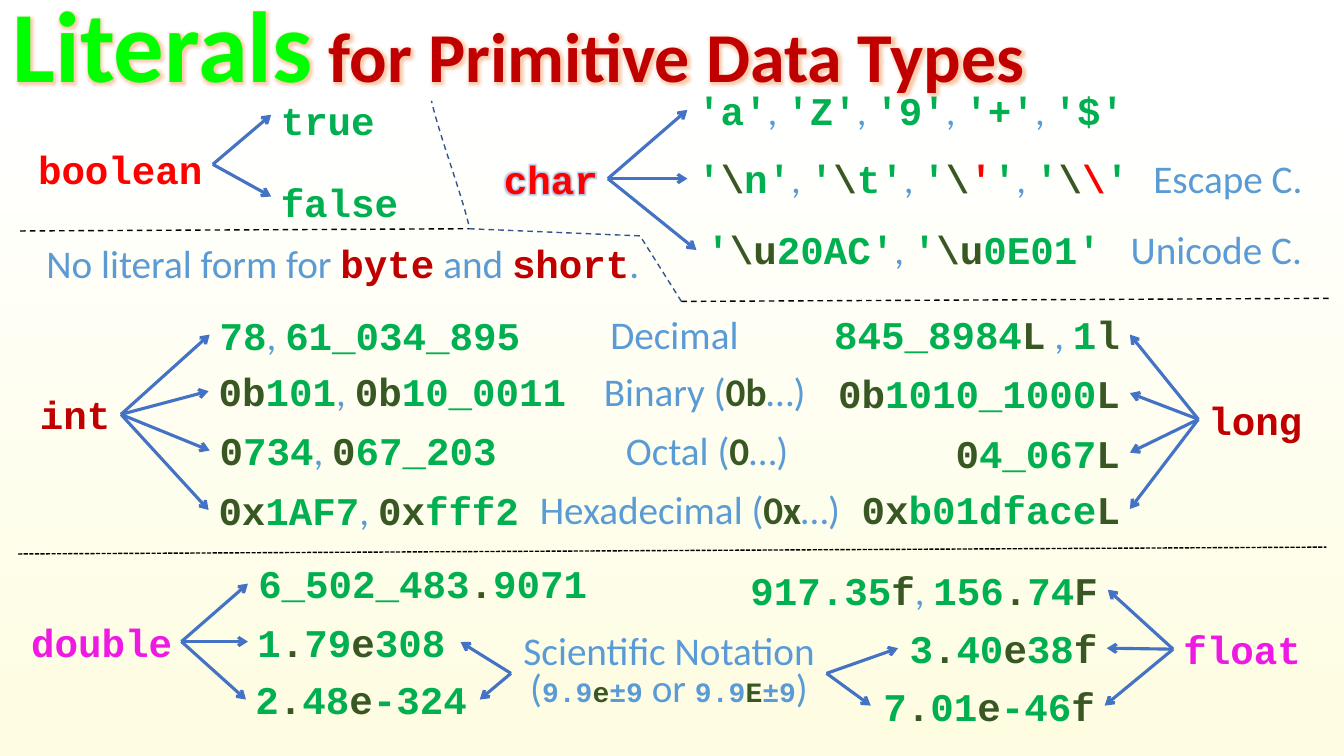
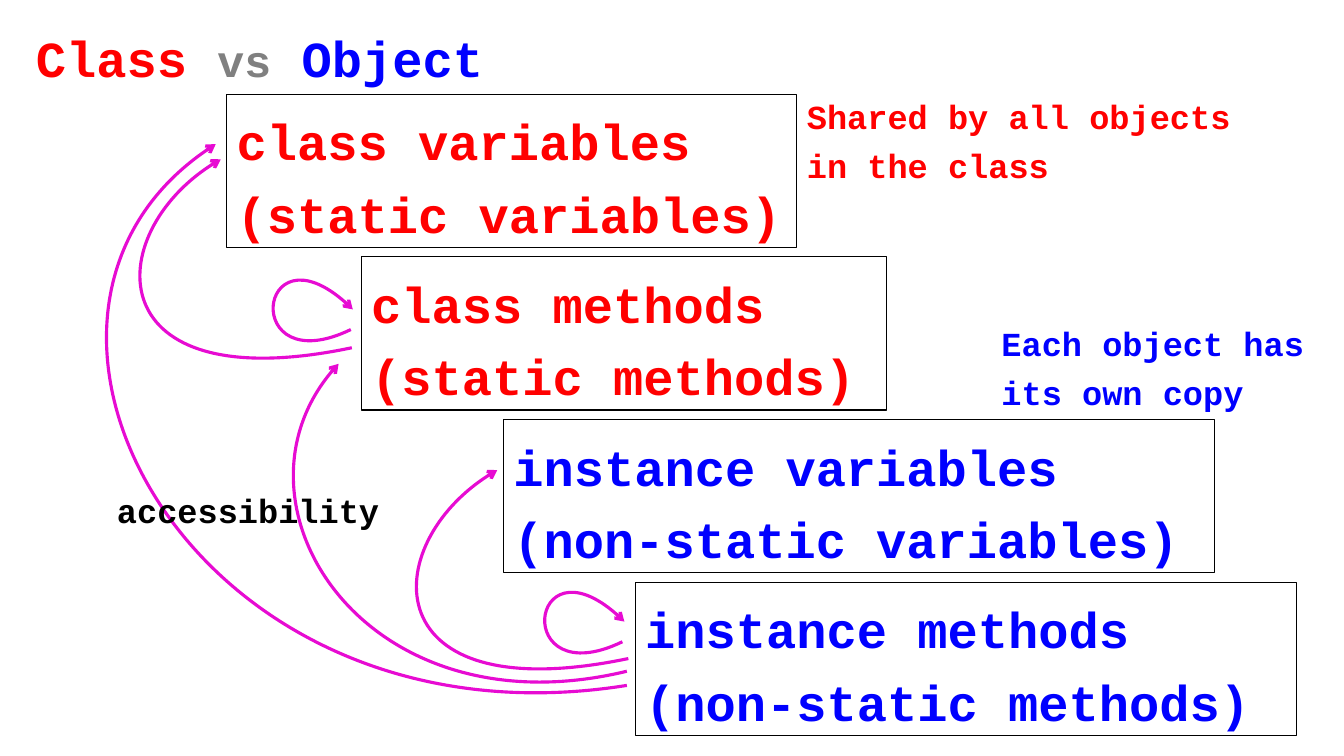
import collections
import pptx
import pptx.dml.color
import pptx.enum.dml
import pptx.enum.shapes
import pptx.enum.text
import pptx.oxml.ns
import pptx.util
from lxml import etree

Pt = pptx.util.Pt
RGB = pptx.dml.color.RGBColor.from_string
ALIGN = pptx.enum.text.PP_ALIGN
ANCHOR = pptx.enum.text.MSO_ANCHOR
DASH = pptx.enum.dml.MSO_LINE
qn = pptx.oxml.ns.qn

Style = collections.namedtuple("Style", "font size color bold glow", defaults=(True, None))


class Theme:
    sans, mono = "Calibri", "Courier New"
    red, blue, black = "FF0000", "0000FF", "000000"
    green, dark, sky, crimson = "00B050", "385723", "5B9BD5", "C00000"
    arrow, curve, border = "4472C4", "E70BD2", "325491"
    white, cream = "FFFFFF", "FEFDE2"
    thick, thin, frame = 2.25, 1, 0.75
    styles = {
        "heading": Style(sans, 72, "00FF00", True, "ED7D31"),
        "subheading": Style(sans, 50, crimson, True, "ED7D31"),
        "literal": Style(mono, 28, green),
        "mark": Style(mono, 28, dark),
        "escaped": Style(mono, 28, red),
        "glowing": Style(mono, 28, red, True, arrow),
        "type": Style(mono, 28, crimson),
        "real": Style(mono, 28, "EE1AE4"),
        "note": Style(sans, 28, sky, False),
        "prefix": Style(sans, 28, dark),
        "small": Style(mono, 20, sky),
        "smallmark": Style(mono, 20, dark),
        "class": Style(mono, 36, red),
        "versus": Style(mono, 32, "808080"),
        "object": Style(mono, 36, blue),
        "classnote": Style(mono, 24, red),
        "objectnote": Style(mono, 24, blue),
        "caption": Style(mono, 24, black),
    }


def write_text(shape, lines, align=ALIGN.LEFT, spacing=1.0, anchor=ANCHOR.TOP):
    """Each line is a chain of "style text" spans joined by "|"."""
    frame = shape.text_frame
    frame.word_wrap = True
    frame.auto_size = pptx.enum.text.MSO_AUTO_SIZE.NONE
    frame.vertical_anchor = anchor
    for index, line in enumerate(lines):
        para = frame.add_paragraph() if index else frame.paragraphs[0]
        para.alignment, para.line_spacing = align, spacing
        for part in line.split("|"):
            name, _, words = part.partition(" ")
            style = Theme.styles[name]
            span = para.add_run()
            span.text = words
            span.font.name, span.font.size = style.font, Pt(style.size)
            span.font.bold = style.bold
            span.font.color.rgb = RGB(style.color)
            if style.glow:
                effects = etree.Element(qn("a:effectLst"))
                glow = etree.SubElement(effects, qn("a:glow"), rad=str(Pt(5)))
                tint = etree.SubElement(glow, qn("a:srgbClr"), val=style.glow)
                etree.SubElement(tint, qn("a:alpha"), val="40000")
                span.font._element.find(qn("a:solidFill")).addnext(effects)


def draw_line(page, points, color, width, dash=None, arrow=False):
    """Two points make a connector; more make an outline whose last four form a Bezier curve."""
    points = [(Pt(x), Pt(y)) for x, y in points]
    if len(points) == 2:
        kind = pptx.enum.shapes.MSO_CONNECTOR.STRAIGHT
        line = page.shapes.add_connector(kind, *points[0], *points[1])
    else:
        # Trace the curve for its true bounds, then store it as one segment
        pieces, trace = 40, []
        for t in (piece / pieces for piece in range(1, pieces + 1)):
            weights = ((1 - t) ** 3, 3 * t * (1 - t) ** 2, 3 * t ** 2 * (1 - t), t ** 3)
            trace.append([sum(w * v for w, v in zip(weights, axis)) for axis in zip(*points[-4:])])
        builder = page.shapes.build_freeform(*points[0])
        builder.add_line_segments(points[1:-3] + trace, close=False)
        line = builder.convert_to_shape()
        line.fill.background()
        outline = line._element.find(".//" + qn("a:path"))
        for segment in outline.findall(qn("a:lnTo"))[-pieces:]:
            outline.remove(segment)
        bend = etree.SubElement(outline, qn("a:cubicBezTo"))
        for x, y in points[-3:]:
            etree.SubElement(bend, qn("a:pt"), x=str(x - line.left), y=str(y - line.top))
    line.line.color.rgb, line.line.width = RGB(color), Pt(width)
    if dash:
        line.line.dash_style = dash
    if arrow:
        etree.SubElement(line.line._get_or_add_ln(), qn("a:tailEnd"), type="arrow")
    etree.SubElement(line._element.spPr, qn("a:effectLst"))


deck = pptx.Presentation()
deck.slide_width, deck.slide_height = Pt(960), Pt(540)

# Pages and their titles
titles = [
    ((2, 0.3, 870, 78.5), "heading Literals|subheading  for Primitive Data Types", 0.8, ANCHOR.TOP),
    ((18.5, 8, 350.6, 57.6), "class Class |versus vs|object  Object", 1.2, ANCHOR.MIDDLE),
]
pages = []
for place, words, spacing, anchor in titles:
    page = deck.slides.add_slide(deck.slide_layouts[5])
    title = page.shapes.title
    title.left, title.top, title.width, title.height = map(Pt, place)
    write_text(title, [words], ALIGN.LEFT, spacing, anchor)
    pages.append(page)
literals, members = pages

# Backgrounds
backdrop = literals.background.fill
backdrop.gradient()
backdrop.gradient_angle = 270
for stop, position, color in zip(backdrop.gradient_stops, (0.1, 1), (Theme.white, Theme.cream)):
    stop.position, stop.color.rgb = position, RGB(color)
members.background.fill.solid()
members.background.fill.fore_color.rgb = RGB(Theme.white)

# Literals: type names
for left, top, width, align, words in [
    (351.4, 107, 82.8, ALIGN.RIGHT, "glowing char"),
    (18.3, 275, 67.7, ALIGN.RIGHT, "type int"),
    (856, 279.4, 85.7, ALIGN.LEFT, "type long"),
    (838.2, 443.2, 101.5, ALIGN.LEFT, "real float"),
    (14, 437.8, 116, ALIGN.RIGHT, "real double"),
]:
    box = literals.shapes.add_textbox(Pt(left), Pt(top), Pt(width), Pt(41))
    write_text(box, [words], align, anchor=ANCHOR.MIDDLE)

# Literals: boolean and its values
for left, top, width, align, words in [
    (18.9, 93.8, 132.8, ALIGN.RIGHT, "escaped boolean"),
    (193.5, 58.7, 85, ALIGN.LEFT, "literal true"),
    (193.5, 117.1, 113, ALIGN.LEFT, "literal false"),
]:
    box = literals.shapes.add_textbox(Pt(left), Pt(top), Pt(width), Pt(46))
    write_text(box, [words], align, 1.2)

# Literals: examples and notes
comma = "|note , |"
examples = {
    ALIGN.LEFT: [
        (491, 58, 324, comma.join("literal '%s'" % sign for sign in "aZ9+$")),
        (491, 107, 336.2, comma.join([
            r"literal '|mark \|literal n'", r"literal '|mark \|literal t'",
            r"literal '|mark \|escaped '|literal '", r"literal '|mark \|escaped \|literal '"])),
        (497.5, 157.7, 322.6, comma.join(
            r"literal '|mark \u|literal %s'" % digits for digits in ("20AC", "0E01"))),
        (816.8, 107, 131.8, "note Escape C."),
        (800.6, 157.3, 143.3, "note Unicode C."),
        (149.8, 218.5, 246.2, "literal 78" + comma + "literal 61_034_895"),
        (149.2, 258.5, 331.2, "mark 0b|literal 101" + comma + "mark 0b|literal 10_0011"),
        (149.8, 301, 337.7, "mark 0|literal 734" + comma + "mark 0|literal 67_203"),
        (149, 343.9, 238.3, "mark 0x|literal 1AF7" + comma + "mark 0x|literal fff2"),
        (177.4, 396, 282.2, "literal 6_502_483|mark .|literal 9071"),
        (176.8, 437.8, 152, "literal 1|mark .|literal 79|mark e|literal 308"),
        (175.4, 478.8, 167, "literal 2|mark .|literal 48|mark e|literal -324"),
    ],
    ALIGN.CENTER: [
        (23.9, 167.5, 442, "note No literal form for |type byte|note  and |type short|note ."),
        (424.2, 217.8, 115.2, "note Decimal"),
        (417.6, 258.5, 171.4, "note Binary (|prefix 0b|note …)"),
        (433.4, 301, 143.3, "note Octal (|prefix 0|note …)"),
        (373.7, 343.4, 238.3, "note Hexadecimal (|prefix 0x|note …)"),
    ],
    ALIGN.RIGHT: [
        (586.8, 218.2, 220.3, "literal 845_8984|mark L|note  , |literal 1|mark l"),
        (583.9, 260, 223.2, "mark 0b|literal 1010_1000|mark L"),
        (671, 303.1, 136.1, "mark 0|literal 4_067|mark L"),
        (576, 343.4, 231.1, "mark 0x|literal b01dface|mark L"),
        (522.7, 401, 268.6, "literal 917.35|mark f" + comma + "literal 156|mark .|literal 74|mark F"),
        (641.2, 442.3, 149.8, "literal 3|mark .|literal 40|mark e|literal 38|mark f"),
        (622, 483.8, 167.1, "literal 7|mark .|literal 01|mark e|literal -46|mark f"),
    ],
}
for align, rows in examples.items():
    for left, top, width, words in rows:
        box = literals.shapes.add_textbox(Pt(left), Pt(top), Pt(width), Pt(41))
        write_text(box, [words], align)

box = literals.shapes.add_textbox(Pt(365.2), Pt(450), Pt(225.4), Pt(62))
write_text(box, ["note Scientific Notation (|small 9.9|smallmark e|small ±9|note  or "
                 "|small 9.9|smallmark E|small ±9|note )"], ALIGN.CENTER, 0.8)

# Literals: fans of arrows from each type
fans = [
    ((152, 117.4), [(193.7, 82), (193.7, 140.4)]),
    ((434.2, 127.6), [(491, 78.5), (491, 127.6), (497.5, 178.6)]),
    ((86.4, 296), [(149.8, 239), (149, 279.4), (149.8, 321.8), (149, 364.3)]),
    ((856, 299.5), [(807.1, 239), (807.1, 280.8), (807.1, 323.3), (807.1, 363.6)]),
    ((838, 463.7), [(791.3, 421.2), (790.6, 463), (789.1, 504)]),
    ((129.6, 458.3), [(177.1, 416.9), (177.1, 458.3), (175.7, 499.7)]),
    ((365, 481), [(329, 458.6), (342.7, 499.7)]),
    ((590.4, 481), [(622, 504), (641.5, 463)]),
]
for start, tips in fans:
    for tip in tips:
        draw_line(literals, [start, tip], Theme.arrow, Theme.thick, arrow=True)

# Literals: dashed dividers
for points, color, dash in [
    ([(486.7, 215.3), (949, 213.1)], Theme.black, DASH.DASH),
    ([(13, 395.7), (947.5, 390.8)], Theme.black, DASH.SQUARE_DOT),
    ([(14.4, 165), (335.5, 163.4)], Theme.black, DASH.DASH),
    ([(486.7, 215.3), (457.2, 168.5), (335.5, 163.4),
      (329.8, 138.2), (313.9, 97.2), (308.2, 72)], Theme.border, DASH.DASH),
]:
    draw_line(literals, points, color, Theme.thin, dash)

# Members: staircase of boxes
for step, (left, width, style, name, kind) in enumerate([
    (162, 407.2, "class", "class variables ", "(static variables)"),
    (258.1, 375.1, "class", "class methods ", "(static methods)"),
    (359.6, 508.1, "object", "instance variables ", "(non-static variables)"),
    (453.8, 472.3, "object", "instance methods ", "(non-static methods)"),
]):
    box = members.shapes.add_shape(pptx.enum.shapes.MSO_SHAPE.RECTANGLE, Pt(left),
                                   Pt(67.3 + 116.2 * step), Pt(width), Pt(109.4))
    box.shadow.inherit = False
    box.fill.background()
    box.line.color.rgb, box.line.width = RGB(Theme.black), Pt(Theme.frame)
    write_text(box, [f"{style} {name}", f"{style} {kind}"], ALIGN.LEFT, 1.2, ANCHOR.MIDDLE)

# Members: access arrows, each a start, two controls and a tip
self_access = [(250.6, 235.4), (171.4, 273.6), (183.6, 153.4), (252, 221)]
variable_access = [(251.3, 248.4), (69.1, 286.6), (72, 162), (157.7, 113.8)]
curves = [
    self_access,
    variable_access,
    [(x + 194, y + 223) for x, y in self_access],
    [(x + 197.5, y + 222) for x, y in variable_access],
    [(447.8, 479.5), (259.9, 524.9), (152.6, 354.2), (241.9, 259.9)],
    [(447.8, 489.6), (136.1, 539.3), (-31.7, 219.6), (154.1, 103)],
]
for curve in curves:
    draw_line(members, curve, Theme.curve, Theme.thick, arrow=True)

# Members: remarks
for left, top, width, height, words in [
    (708.3, 221.8, 237.6, 75.6, "objectnote Each object has its own copy"),
    (569.3, 59.8, 350.6, 75.6, "classnote Shared by all objects in the class"),
    (76.5, 341.3, 202.5, 41, "caption accessibility"),
]:
    box = members.shapes.add_textbox(Pt(left), Pt(top), Pt(width), Pt(height))
    write_text(box, [words], ALIGN.LEFT, 1.2, ANCHOR.MIDDLE)

deck.save("out.pptx")
